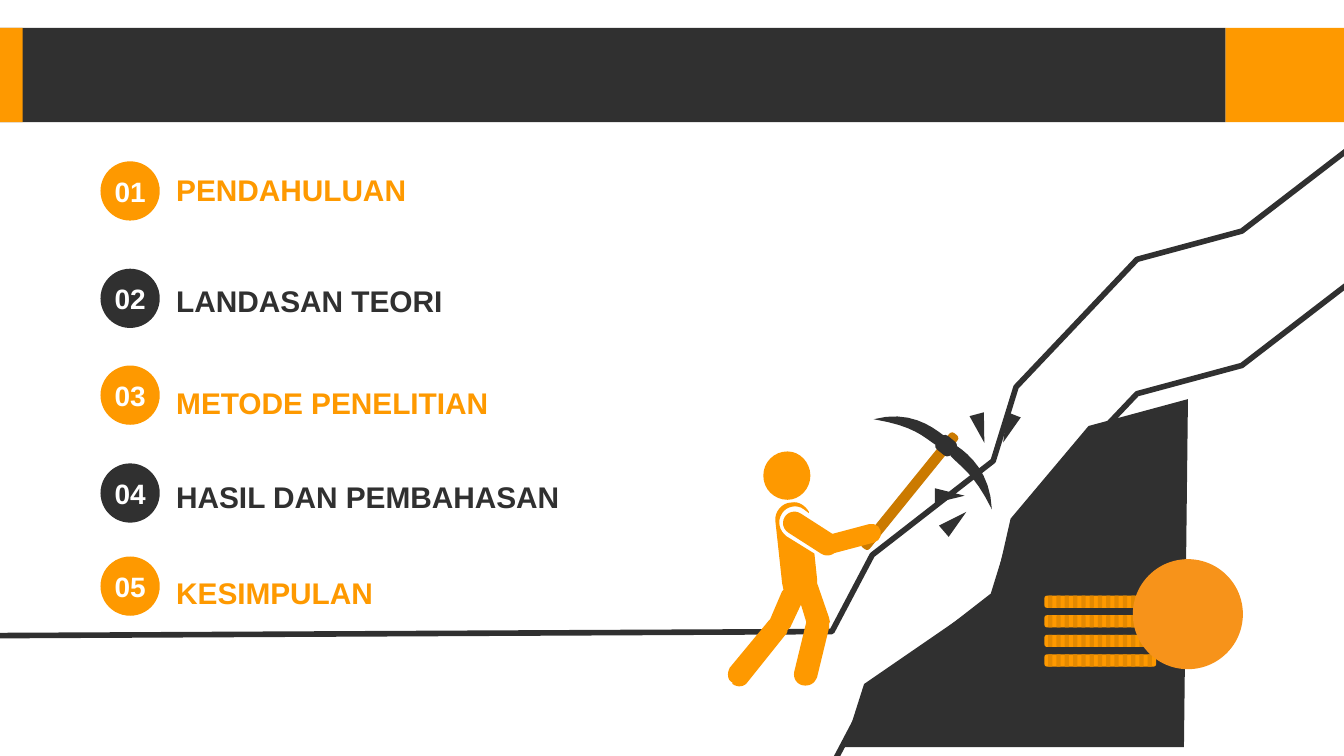
from pptx import Presentation
from pptx.dml.color import RGBColor
from pptx.enum.shapes import MSO_SHAPE
from pptx.enum.text import MSO_ANCHOR, MSO_AUTO_SIZE, PP_ALIGN
from pptx.oxml import parse_xml
from pptx.oxml.ns import nsdecls
from pptx.util import Cm, Pt

ORANGE = RGBColor(0xFE, 0x99, 0x00)
DARK = RGBColor(0x30, 0x30, 0x30)
WHITE = RGBColor(0xFF, 0xFF, 0xFF)
WOOD = RGBColor(0xCB, 0x7A, 0x00)
RIB = RGBColor(0xE4, 0x89, 0x00)
COIN = RGBColor(0xF7, 0x93, 0x1A)

GRID = 0.0254  # cm per unit of the outline grid
CURVE_STEPS = 8

# Agenda: text, space before (pt), top of its badge (cm)
AGENDA = [
    ("PENDAHULUAN", 0, 3.05),
    ("LANDASAN TEORI", 40, 5.08),
    ("METODE PENELITIAN", 35.5, 6.91),
    ("HASIL DAN PEMBAHASAN", 31.5, 8.76),
    ("KESIMPULAN", 32, 10.52),
]

# Outlines in grid units: a pair is a corner, six numbers are a Bézier curve
SLOPE = [(0, 473), (619, 470), (649, 413), (739, 343),
         (756, 288), (846, 193), (924, 172), (1002, 112)]
CLIFF = [(884, 297), (810, 317), (752, 386), (739, 443),
         (643, 509), (628, 556), (881, 556)]
PICK_FRONT = [(712, 332), (721, 338, 737, 352, 738, 379),
              (724, 351, 714, 347, 707, 339)]
PICK_BACK = [(702, 324), (693, 317, 676, 305, 650, 312),
             (680, 317, 687, 325, 696, 331)]
MINER_BODY = [
    (589, 374), (594, 373, 599, 376, 602, 381), (602, 382), (598, 379),
    (593, 375, 585, 377, 582, 382), (578, 388, 580, 395, 585, 399),
    (606, 412), (608, 431), (608, 434), (617, 460),
    (617, 461, 618, 463, 617, 464), (617, 467), (608, 504),
    (606, 509, 602, 511, 597, 510), (593, 509, 590, 505, 591, 500),
    (600, 463), (596, 450), (588, 467), (586, 469),
    (586, 471, 585, 472, 584, 473), (556, 508),
    (554, 511, 549, 512, 545, 509), (545, 508),
    (541, 506, 541, 501, 543, 497), (572, 462), (573, 461), (582, 440),
    (583, 439), (582, 434), (577, 388), (576, 381, 582, 374, 589, 374),
]
MINER_HEAD = [
    (586, 336), (595, 336, 603, 344, 603, 354), (603, 364, 595, 372, 586, 372),
    (576, 372, 568, 364, 568, 354), (568, 344, 576, 336, 586, 336),
]


def trace(outline):
    """Return the outline's points in EMU, with its curves divided into steps."""
    points = [outline[0]]
    for x1, y1, *rest in outline[1:]:
        if not rest:
            points.append((x1, y1))
            continue
        x0, y0 = points[-1]
        x2, y2, x3, y3 = rest
        for step in range(1, CURVE_STEPS + 1):
            t = step / CURVE_STEPS
            a, b, c, d = (1 - t) ** 3, 3 * t * (1 - t) ** 2, 3 * t * t * (1 - t), t ** 3
            points.append((a * x0 + b * x1 + c * x2 + d * x3,
                           a * y0 + b * y1 + c * y2 + d * y3))
    return [(Cm(x * GRID), Cm(y * GRID)) for x, y in points]


def write(paragraph, text, size=16, color=DARK, align=PP_ALIGN.LEFT, before=0):
    paragraph.text = text
    paragraph.alignment = align
    paragraph.space_before = Pt(before)
    font = paragraph.font
    font.name, font.size, font.bold = "Arial", Pt(size), True
    font.color.rgb = color


class Illustrator:
    def __init__(self, slide):
        self.slide = slide

    def group(self):
        return self.slide.shapes.add_group_shape().shapes

    def shape(self, kind, left, top, width, height, color, turn=0, round_by=None, on=None):
        shape = (on or self.slide.shapes).add_shape(
            kind, Cm(left), Cm(top), Cm(width), Cm(height))
        shape.shadow.inherit = False
        shape.fill.solid()
        shape.fill.fore_color.rgb = color
        shape.line.fill.background()
        shape.rotation = turn
        if round_by is not None:
            shape.adjustments[0] = round_by
        return shape

    def badge(self, number, top, color):
        badge = self.shape(MSO_SHAPE.OVAL, 1.9, top, 1.12, 1.12, color)
        frame = badge.text_frame
        frame.margin_left = frame.margin_right = frame.margin_top = frame.margin_bottom = 0
        frame.vertical_anchor = MSO_ANCHOR.MIDDLE
        frame.word_wrap = False
        write(frame.paragraphs[0], number, size=15, color=WHITE, align=PP_ALIGN.CENTER)

    def agenda(self, entries):
        body = self.slide.placeholders[1]
        body.left, body.top, body.width, body.height = Cm(3.15), Cm(3.15), Cm(11.84), Cm(8.4)
        frame = body.text_frame
        frame.auto_size = MSO_AUTO_SIZE.NONE
        frame.word_wrap = True
        frame.vertical_anchor = MSO_ANCHOR.TOP
        frame.margin_left = frame.margin_right = Cm(0.18)
        frame.margin_top = frame.margin_bottom = Cm(0.1)
        for index, (text, before, badge_top) in enumerate(entries):
            color = DARK if index % 2 else ORANGE
            paragraph = frame.add_paragraph() if index else frame.paragraphs[0]
            properties = paragraph._p.get_or_add_pPr()
            properties.set("marL", "0")
            properties.set("indent", "0")
            properties.append(parse_xml(f"<a:buNone {nsdecls('a')}/>"))
            write(paragraph, text, color=color, before=before)
            self.badge(f"{index + 1:02}", badge_top, color)

    def outline(self, *contours, color, on=None):
        first, *others = [trace(contour) for contour in contours]
        builder = (on or self.slide.shapes).build_freeform(*first[0])
        builder.add_line_segments(first[1:], close=True)
        for points in others:
            builder.move_to(*points[0])
            builder.add_line_segments(points[1:], close=True)
        form = builder.convert_to_shape()
        form.shadow.inherit = False
        form.fill.solid()
        form.fill.fore_color.rgb = color
        form.line.fill.background()

    def ridge(self, corners, drop=0):
        points = trace([(x, y + drop) for x, y in corners])
        builder = self.slide.shapes.build_freeform(*points[0])
        builder.add_line_segments(points[1:], close=False)
        ridge = builder.convert_to_shape()
        ridge.shadow.inherit = False
        ridge.fill.background()
        ridge.line.color.rgb = DARK
        ridge.line.width = Pt(3)


def main():
    deck = Presentation()
    deck.slide_width, deck.slide_height = Cm(25.4), Cm(14.29)
    slide = deck.slides.add_slide(deck.slide_layouts[1])
    heading = slide.shapes.title._element
    heading.getparent().remove(heading)
    art = Illustrator(slide)
    rounded = MSO_SHAPE.ROUNDED_RECTANGLE

    # Header band
    for left, width, color in [(23.16, 2.24, ORANGE), (0, 23.16, DARK), (0, 0.43, ORANGE)]:
        art.shape(MSO_SHAPE.RECTANGLE, left, 0.53, width, 1.78, color)

    # Agenda with numbered badges
    art.agenda(AGENDA)

    # Mountain
    art.ridge(SLOPE)
    art.outline(CLIFF, color=DARK)

    # Pickaxe
    pickaxe = art.group()
    art.shape(rounded, 17.09, 7.9, 0.2, 2.77, WOOD, turn=39, round_by=0.34, on=pickaxe)
    art.shape(rounded, 17.7, 8.26, 0.36, 0.33, DARK, turn=39, round_by=0.28, on=pickaxe)
    for blade in (PICK_FRONT, PICK_BACK):
        art.outline(blade, color=DARK, on=pickaxe)

    # Miner
    miner = art.group()
    art.outline(MINER_BODY, MINER_HEAD, color=ORANGE, on=miner)
    art.shape(rounded, 15.11, 9.5, 0.43, 1.17, ORANGE, turn=302.7, round_by=0.5, on=miner)
    art.shape(rounded, 15.9, 9.6, 0.36, 1.17, ORANGE, turn=255.1, round_by=0.5, on=miner)

    # Pile of ribbed coins, from the bottom up, and the large coin
    for level in range(4):
        top = 12.37 - 0.37 * level
        edge = art.group()
        art.shape(rounded, 19.74, top, 2.11, 0.23, ORANGE, round_by=0.2, on=edge)
        for rib in range(13):
            art.shape(rounded, 19.81 + rib * 1.88 / 12, top, 0.08, 0.23, RIB,
                      round_by=0.2, on=edge)
    art.shape(MSO_SHAPE.OVAL, 21.41, 10.57, 2.08, 2.08, COIN)

    # Flying splinters
    for left, top, turn in [(17.91, 9.58, 49.3), (17.81, 9.09, 90),
                            (18.39, 7.82, 165), (18.92, 7.82, 201.1)]:
        art.shape(MSO_SHAPE.ISOSCELES_TRIANGLE, left, top, 0.28, 0.56, DARK, turn=turn)

    # Lower ridge, parallel to the slope
    art.ridge(SLOPE, drop=100)
    deck.save("out.pptx")


if __name__ == "__main__":
    main()
